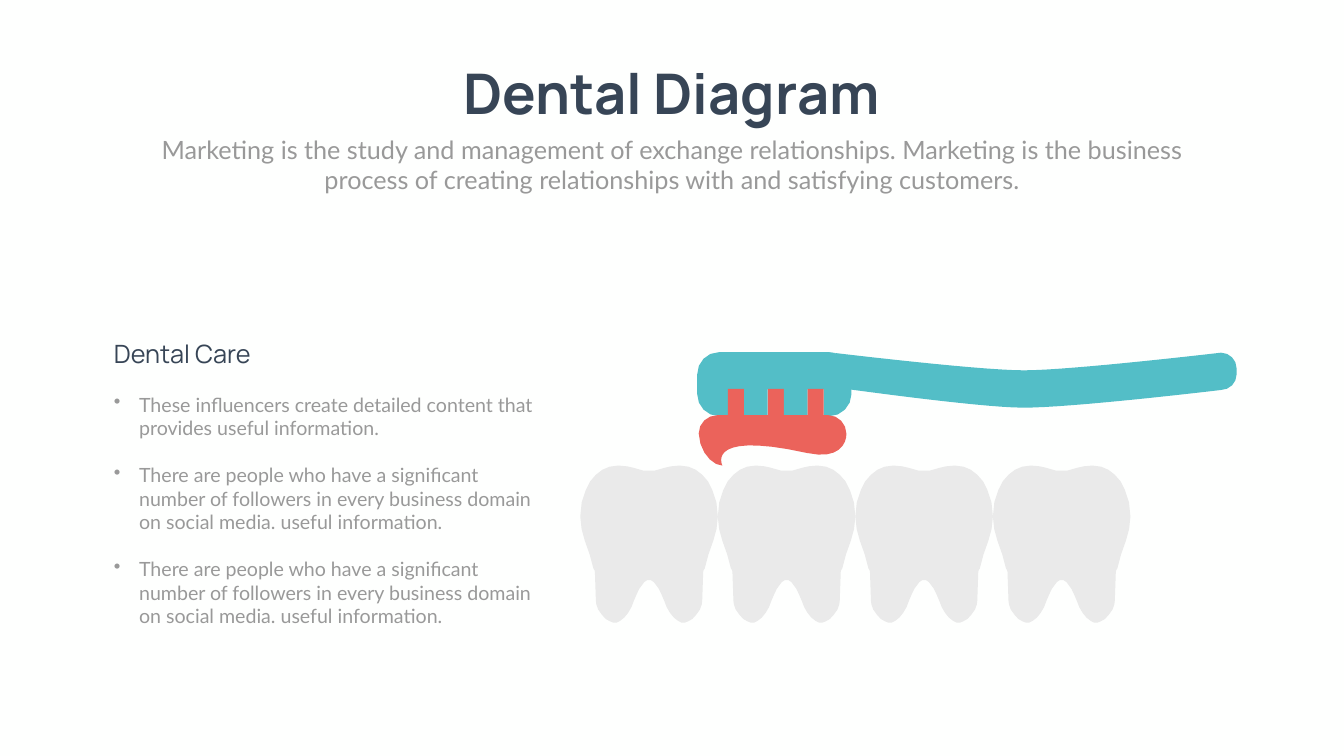
import math

from lxml import etree
from pptx import Presentation
from pptx.dml.color import RGBColor
from pptx.enum import shapes as kinds, text as txt
from pptx.oxml import ns
from pptx.util import Cm, Pt

PAPER = RGBColor(0xFE, 0xFF, 0xFE)
NAVY = RGBColor(0x37, 0x45, 0x56)
GREY = RGBColor(0x99, 0x99, 0x99)
ENAMEL = RGBColor(0xEA, 0xEA, 0xEA)
TEAL = RGBColor(0x53, 0xBE, 0xC7)
CORAL = RGBColor(0xEB, 0x63, 0x5B)

TITLE = dict(name="Manrope", size=Pt(80), bold=True)
SUBTITLE = dict(name="Lato", size=Pt(36), bold=False)
HEADING = dict(name="Manrope", size=Pt(36), bold=False)
BODY = dict(name="Lato", size=Pt(28), bold=False)

FOLLOWERS = ("There are people who have a significant number of followers in every "
             "business domain on social media. useful information.")
ADVICE = ["These influencers create detailed content that provides useful information.",
          FOLLOWERS, FOLLOWERS]

# Outlines: a segment of one point is a line, of three points a cubic curve.
TOOTH_WIDTH = 273
TOOTH_HALF = [  # left side, from the crown down to the notch between the roots
    (105, 4), (98, 2), (88, 0), (79, 0), (77, 0), (75, 0), (73, 0),
    (58, 0), (43, 6), (31, 18), (22, 25), (16, 36), (11, 48),
    (4, 63), (0, 81), (0, 101), (0, 118), (4, 134), (9, 149),
    (16, 167), (22, 185), (26, 204), (28, 206), (29, 209), (29, 211),
    (30, 230), (30, 249), (31, 268), (31, 273), (33, 286), (43, 296),
    (48, 303), (53, 307), (59, 309), (65, 313), (73, 313), (79, 308),
    (85, 304), (90, 300), (95, 292), (104, 280), (104, 271), (112, 255),
    (114, 249), (119, 240), (127, 231)]

BRUSH_WIDTH = 1070
HANDLE = [[(304, 44)], [(304, 74)], [(304, 74), (564, 110), (645, 110)],
          [(739, 111), (1039, 75), (1039, 75)], [(1056, 75), (1070, 61), (1070, 44)],
          [(1070, 32)], [(1070, 15), (1056, 1), (1039, 1)],
          [(1039, 1), (741, 36), (648, 36)], [(556, 36), (260, 0), (260, 0)],
          [(285, 0), (304, 20), (304, 44)]]
HEAD = [[(0, 44)], [(0, 74)], [(306, 74)], [(306, 44)],
        [(306, 20), (286, 0), (262, 0)], [(43, 0)], [(19, 0), (0, 20), (0, 44)]]
RIGHT_CORNER = [[(262, 127)], [(286, 127), (306, 107), (306, 83)],
                [(306, 73)], [(251, 73)], [(251, 127)]]
LEFT_CORNER = [[(0, 83)], [(0, 107), (19, 127), (44, 127)],
               [(61, 127)], [(61, 73)], [(0, 73)]]
PASTE = [[(40, 125)], [(260, 125)], [(280, 125), (296, 142), (296, 162)],
         [(296, 181), (282, 214), (218, 200)], [(14, 155), (50, 225), (50, 225)],
         [(30, 225), (4, 197), (3, 161)], [(3, 141), (20, 125), (40, 125)]]
BRISTLE_LEFT, BRISTLE_WIDTH, BRISTLE_STEP = 61, 32, 79
BRISTLE_TOP, BRISTLE_HEIGHT = 73, 54


def paint(shape, colour):
    shape.shadow.inherit = False
    shape.fill.solid()
    shape.fill.fore_color.rgb = colour
    shape.line.fill.background()


def count_steps(controls):
    """Fewest chords that stay within one unit of the curve."""
    bend = max(math.hypot(a[0] - 2 * b[0] + c[0], a[1] - 2 * b[1] + c[1])
               for a, b, c in (controls[:3], controls[1:]))
    return max(1, math.ceil(math.sqrt(0.75 * bend)))


def trace(segments):
    """Turn lines and cubic curves into one run of points."""
    points = [segments[0][0]]
    for segment in segments[1:]:
        if len(segment) == 1:
            points += segment
            continue
        controls = [points[-1], *segment]
        steps = count_steps(controls)
        for step in range(1, steps + 1):
            t = step / steps
            weights = ((1 - t) ** 3, 3 * t * (1 - t) ** 2, 3 * t * t * (1 - t), t ** 3)
            points.append(tuple(sum(w * p[axis] for w, p in zip(weights, controls))
                                for axis in (0, 1)))
    return points


def add_outline(parts, segments, left, top, unit, colour):
    points = [(x * unit, y * unit) for x, y in trace(segments)]
    builder = parts.build_freeform(*points[0])
    builder.add_line_segments(points[1:], close=True)
    paint(builder.convert_to_shape(left, top), colour)


def write(shape, paragraphs, style, colour, align=txt.PP_ALIGN.LEFT, bulleted=False):
    frame = shape.text_frame
    frame.word_wrap = True
    frame.auto_size = txt.MSO_AUTO_SIZE.NONE
    frame.vertical_anchor = txt.MSO_ANCHOR.TOP
    for i, content in enumerate(paragraphs):
        paragraph = frame.paragraphs[0] if i == 0 else frame.add_paragraph()
        paragraph.alignment = align
        if bulleted:
            add_bullet(paragraph, colour)
            if i:
                paragraph.space_before = Pt(33.6)
        run = paragraph.add_run()
        run.text = content
        for attribute, value in style.items():
            setattr(run.font, attribute, value)
        run.font.color.rgb = colour


def add_bullet(paragraph, colour):
    properties = paragraph._p.get_or_add_pPr()
    properties.set("marL", str(Cm(1.27)))
    properties.set("indent", str(-Cm(1.27)))
    tint = etree.SubElement(properties, ns.qn("a:buClr"))
    etree.SubElement(tint, ns.qn("a:srgbClr"), val=str(colour))
    etree.SubElement(properties, ns.qn("a:buChar"), char="•")


def add_header(slide, left, top, width):
    title = slide.shapes.title
    title.left, title.top = left + Cm(14.55), top
    title.width, title.height = Cm(23.75), Cm(3.68)
    write(title, ["Dental Diagram"], TITLE, NAVY, txt.PP_ALIGN.CENTER)
    subtitle = slide.shapes.add_textbox(left, top + Cm(3.79), width, Cm(3.33))
    write(subtitle, ["Marketing is the study and management of exchange relationships. "
                     "Marketing is the business process of creating relationships with "
                     "and satisfying customers."], SUBTITLE, GREY, txt.PP_ALIGN.CENTER)


def add_teeth(slide, left, top, width, count=4):
    tooth_width = width / count
    mirrored = [(TOOTH_WIDTH - x, y) for x, y in reversed(TOOTH_HALF)]
    loop = TOOTH_HALF + [(132, 225), (141, 225)] + mirrored + [(147, 13), (126, 13), TOOTH_HALF[0]]
    segments = [loop[:1]] + [loop[i:i + 3] for i in range(1, len(loop), 3)]
    for i in range(count):
        add_outline(slide.shapes, segments, round(left + i * tooth_width), top,
                    tooth_width / TOOTH_WIDTH, ENAMEL)


def add_toothbrush(slide, left, top, width):
    unit = width / BRUSH_WIDTH
    parts = slide.shapes.add_group_shape().shapes

    def add_bar(x, bar_width, colour):
        bar = parts.add_shape(kinds.MSO_SHAPE.RECTANGLE, round(left + x * unit),
                              round(top + BRISTLE_TOP * unit), round(bar_width * unit),
                              round(BRISTLE_HEIGHT * unit))
        paint(bar, colour)

    # Handle and head
    for segments in (HANDLE, RIGHT_CORNER, LEFT_CORNER, HEAD):
        add_outline(parts, segments, left, top, unit, TEAL)
    # Bristles and the gaps between them
    for i in range(3):
        x = BRISTLE_LEFT + i * BRISTLE_STEP
        add_bar(x, BRISTLE_WIDTH, CORAL)
        if i < 2:
            add_bar(x + BRISTLE_WIDTH, BRISTLE_STEP - BRISTLE_WIDTH, TEAL)
    # Toothpaste
    add_outline(parts, PASTE, left, top, unit, CORAL)


def add_advice(slide, left, top, width):
    bullets = slide.shapes.add_textbox(left, top + Cm(2.72), width, Cm(13.41))
    write(bullets, ADVICE, BODY, GREY, bulleted=True)
    heading = slide.shapes.add_textbox(left, top, Cm(10.46), Cm(1.8))
    write(heading, ["Dental Care"], HEADING, NAVY)


def main():
    deck = Presentation()
    deck.slide_width, deck.slide_height = Cm(67.72), Cm(38.1)
    slide = deck.slides.add_slide(deck.slide_layouts.get_by_name("Title Only"))
    slide.background.fill.solid()
    slide.background.fill.fore_color.rgb = PAPER
    add_header(slide, Cm(7.42), Cm(2.84), Cm(52.88))
    add_teeth(slide, Cm(29.24), Cm(23.47), Cm(27.72))
    add_toothbrush(slide, Cm(35.13), Cm(17.75), Cm(27.18))
    add_advice(slide, Cm(5.49), Cm(16.94), Cm(22.23))
    deck.save("out.pptx")


if __name__ == "__main__":
    main()
